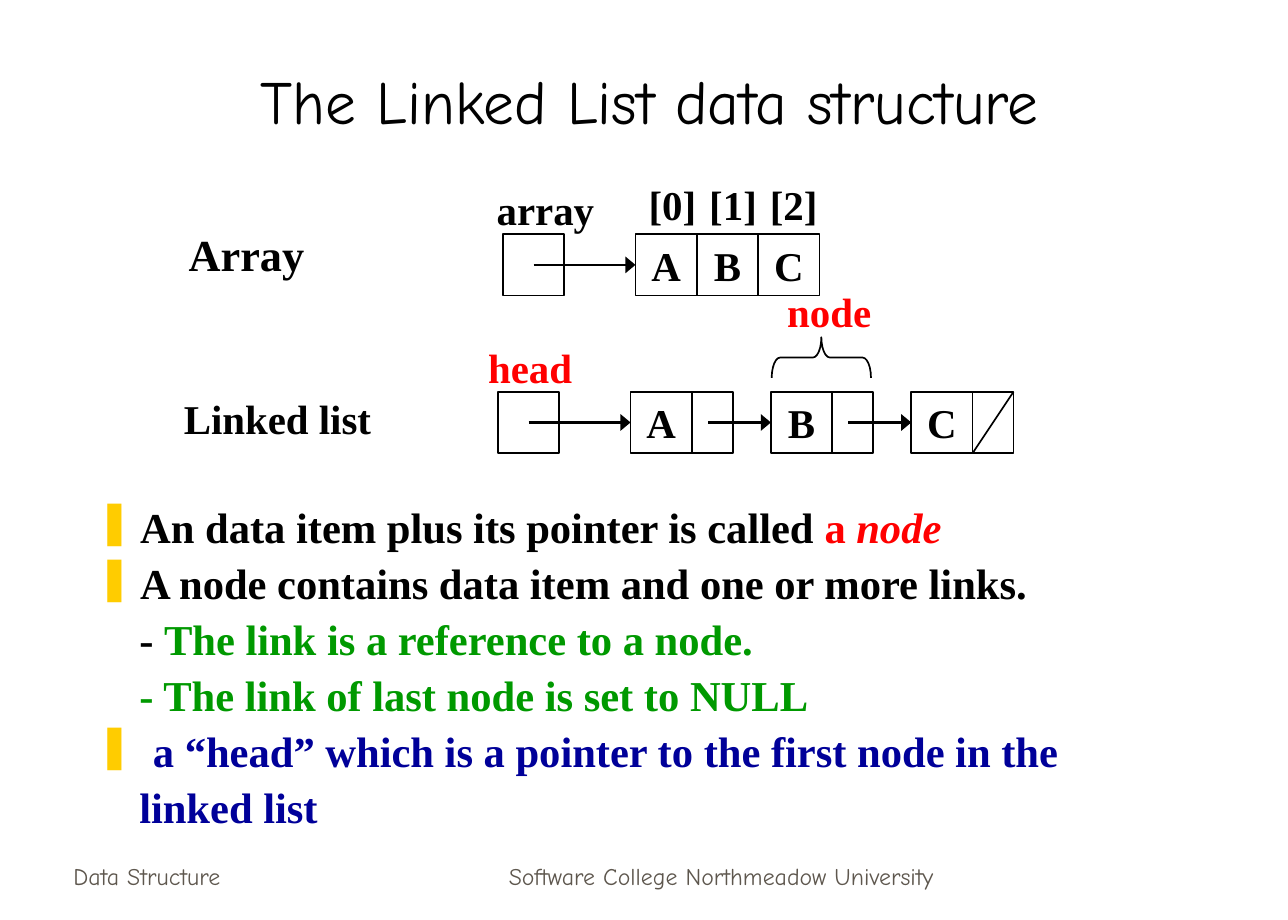
"""Build the slide that compares an array with a linked list."""
import pptx
import pptx.dml.color
import pptx.enum.shapes
import pptx.enum.text
import pptx.oxml.ns
import pptx.util
import lxml.etree

Pt = pptx.util.Pt
RGBColor = pptx.dml.color.RGBColor
MSO_SHAPE = pptx.enum.shapes.MSO_SHAPE
ALIGN = pptx.enum.text.PP_ALIGN
ANCHOR = pptx.enum.text.MSO_ANCHOR
qn = pptx.oxml.ns.qn

BLACK = RGBColor(0x00, 0x00, 0x00)
RED = RGBColor(0xFF, 0x00, 0x00)
GREEN = RGBColor(0x00, 0x99, 0x00)
NAVY = RGBColor(0x00, 0x00, 0x99)
TAUPE = RGBColor(0x5E, 0x57, 0x4E)
YELLOW = RGBColor(0xFF, 0xCC, 0x00)

LABEL = {"name": "Times New Roman", "size": Pt(24), "bold": True}
HEADING = {**LABEL, "size": Pt(26)}
BODY = {**LABEL, "size": Pt(25)}
TITLE = {"name": "Comic Neue", "size": Pt(36)}
FOOTER = {"name": "Comic Neue", "size": Pt(14)}

CELL = 36
LINK_WIDTH = 24
NODE_STEP = 82.4
ARRAY_TOP = 137.5
LIST_TOP = 230


def write(paragraph, text, style, color):
    run = paragraph.add_run()
    run.text = text
    for name, value in style.items():
        setattr(run.font, name, value)
    run.font.color.rgb = color


def add_box(left, top, width, letter=""):
    box = slide.shapes.add_shape(MSO_SHAPE.RECTANGLE, Pt(left), Pt(top), Pt(width), Pt(CELL))
    box.shadow.inherit = False
    box.fill.background()
    box.line.color.rgb = BLACK
    box.line.width = Pt(1)
    if letter:
        box.text_frame.word_wrap = False
        box.text_frame.vertical_anchor = ANCHOR.MIDDLE
        paragraph = box.text_frame.paragraphs[0]
        paragraph.alignment = ALIGN.CENTER
        write(paragraph, letter, LABEL, BLACK)
    return box


presentation = pptx.Presentation()
presentation.slide_width = Pt(756)
presentation.slide_height = Pt(540)
slide = presentation.slides.add_slide(presentation.slide_layouts[6])

framed_texts = [
    ("The Linked List data structure", 59.8, 23.8, 643, 59.8, TITLE, BLACK, ALIGN.CENTER),
    ("Data Structure", 36, 490.3, 157.7, 36, FOOTER, TAUPE, ALIGN.LEFT),
    ("Software College Northmeadow University", 258.5, 490.3, 329.8, 36, FOOTER, TAUPE, ALIGN.CENTER),
]
for text, left, top, width, height, style, color, alignment in framed_texts:
    shape = slide.shapes.add_textbox(Pt(left), Pt(top), Pt(width), Pt(height))
    shape.text_frame.word_wrap = True
    shape.text_frame.vertical_anchor = ANCHOR.BOTTOM
    paragraph = shape.text_frame.paragraphs[0]
    paragraph.alignment = alignment
    write(paragraph, text, style, color)

labels = [
    ("Array", 103.7, 129.6, 110, HEADING, BLACK),
    ("Linked list", 100.8, 227.3, 160, LABEL, BLACK),
    ("array", 284.4, 104.9, 88, LABEL, BLACK),
    ("head", 279.4, 197.3, 88, LABEL, RED),
    ("node", 455, 164.6, 88, LABEL, RED),
]
labels += [(f"[{i}]", 373.6 + 35.6 * i, 102, 60, LABEL, BLACK) for i in range(3)]
for text, left, top, width, style, color in labels:
    shape = slide.shapes.add_textbox(Pt(left), Pt(top), Pt(width), Pt(CELL))
    shape.text_frame.word_wrap = True
    write(shape.text_frame.paragraphs[0], text, style, color)

add_box(295.2, ARRAY_TOP, CELL)
add_box(292.3, LIST_TOP, CELL)
cells = []
nodes = []
for i, letter in enumerate("ABC"):
    cells.append(add_box(373 + CELL * i, ARRAY_TOP, CELL, letter))
    node_left = 370.1 + NODE_STEP * i
    nodes.append(add_box(node_left, LIST_TOP, CELL, letter))
    add_box(node_left + CELL, LIST_TOP, LINK_WIDTH)

arrows = [
    (313.2, ARRAY_TOP, cells[0]),
    (310.3, LIST_TOP, nodes[0]),
    (415.6, LIST_TOP, nodes[1]),
    (415.6 + NODE_STEP, LIST_TOP, nodes[2]),
]
connectors = []
for start, top, target in arrows:
    middle = Pt(top + CELL / 2)
    arrow = slide.shapes.add_connector(
        pptx.enum.shapes.MSO_CONNECTOR.STRAIGHT, Pt(start), middle, target.left, middle)
    arrow.end_connect(target, 1)
    arrow.line.color.rgb = BLACK
    arrow.line.width = Pt(1.5)
    line_properties = arrow._element.spPr.find(qn("a:ln"))
    lxml.etree.SubElement(line_properties, qn("a:tailEnd"), type="triangle", w="lg", len="med")
    connectors.append(arrow)

null_left = 370.1 + 2 * NODE_STEP + CELL
null_slash = slide.shapes.add_connector(
    pptx.enum.shapes.MSO_CONNECTOR.STRAIGHT,
    Pt(null_left), Pt(LIST_TOP + CELL), Pt(null_left + LINK_WIDTH), Pt(LIST_TOP))
null_slash.line.color.rgb = BLACK
null_slash.line.width = Pt(1)
for connector in connectors + [null_slash]:
    lxml.etree.SubElement(connector._element.spPr, qn("a:effectLst"))

brace = slide.shapes.add_shape(MSO_SHAPE.RIGHT_BRACE, Pt(470.2), Pt(180.7), Pt(23.8), Pt(58.3))
brace.rotation = 270
brace.adjustments[0] = 0.21
brace.shadow.inherit = False
brace.fill.background()
brace.line.color.rgb = BLACK
brace.line.width = Pt(1)

points = [
    (True, 25.5, [("An data item plus its pointer is called ", BLACK, False),
                  ("a ", RED, False), ("node", RED, True)]),
    (True, 25.5, [("A node contains data item and one or more links.", BLACK, False)]),
    (False, 25, [("- ", BLACK, False), ("The link is a reference to a node.", GREEN, False)]),
    (False, 25, [("- The link of last node is set to NULL", GREEN, False)]),
    (True, 33, [("a “head” which is a pointer to the first node in the", NAVY, False)]),
    (False, 25, [("linked list", NAVY, False)]),
]
body = slide.shapes.add_textbox(Pt(49.7), Pt(287.3), Pt(620), Pt(205))
body.text_frame.word_wrap = True
for i, (bulleted, indent, runs) in enumerate(points):
    paragraph = body.text_frame.add_paragraph() if i else body.text_frame.paragraphs[0]
    paragraph.line_spacing = 1.1
    properties = paragraph._p.get_or_add_pPr()
    properties.set("marL", str(Pt(indent)))
    if bulleted:
        properties.set("indent", str(-Pt(indent)))
        bullet_color = lxml.etree.SubElement(properties, qn("a:buClr"))
        lxml.etree.SubElement(bullet_color, qn("a:srgbClr"), val=str(YELLOW))
        lxml.etree.SubElement(properties, qn("a:buChar"), char="❚")
    for text, color, italic in runs:
        write(paragraph, text, {**BODY, "italic": italic}, color)

presentation.save("out.pptx")
